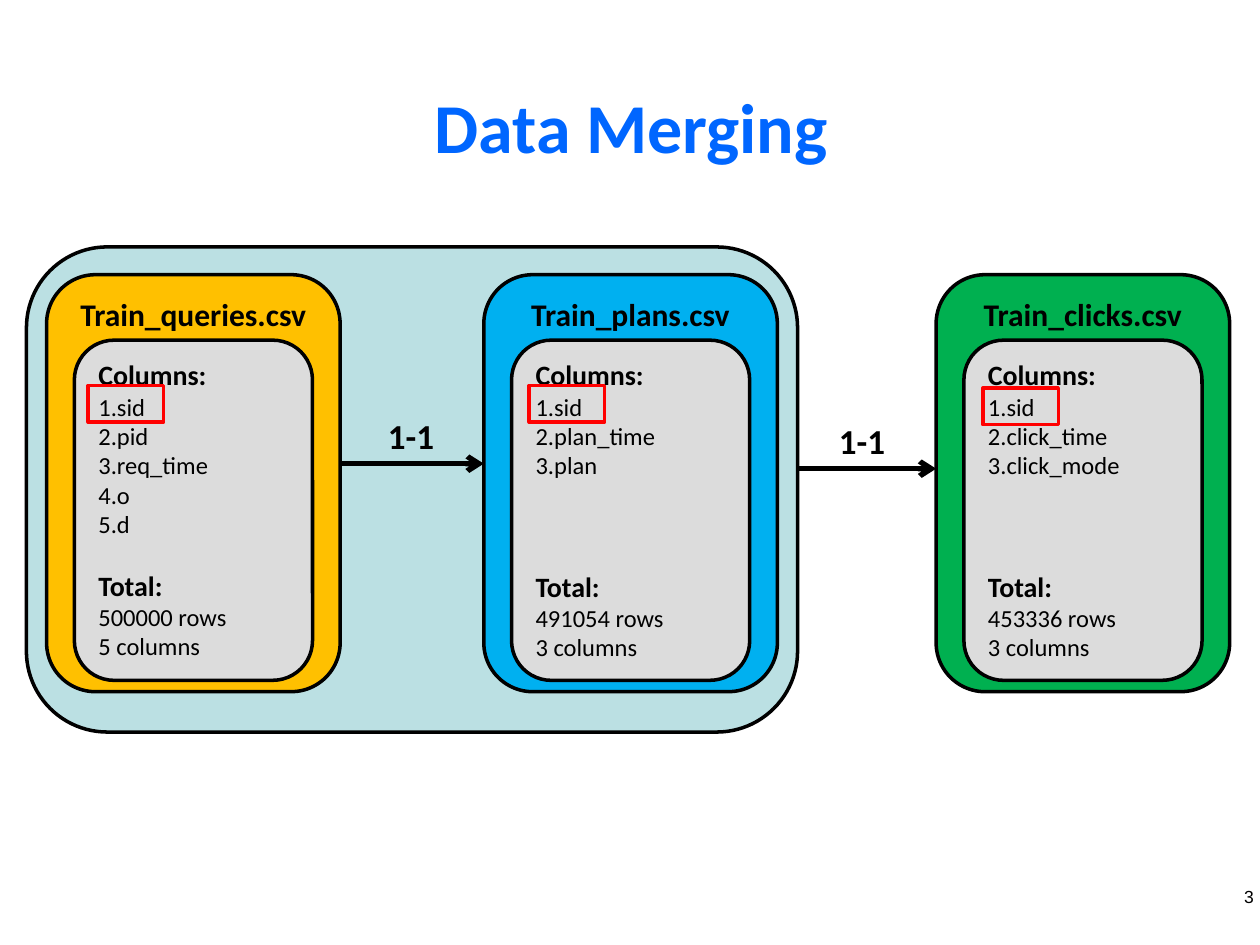
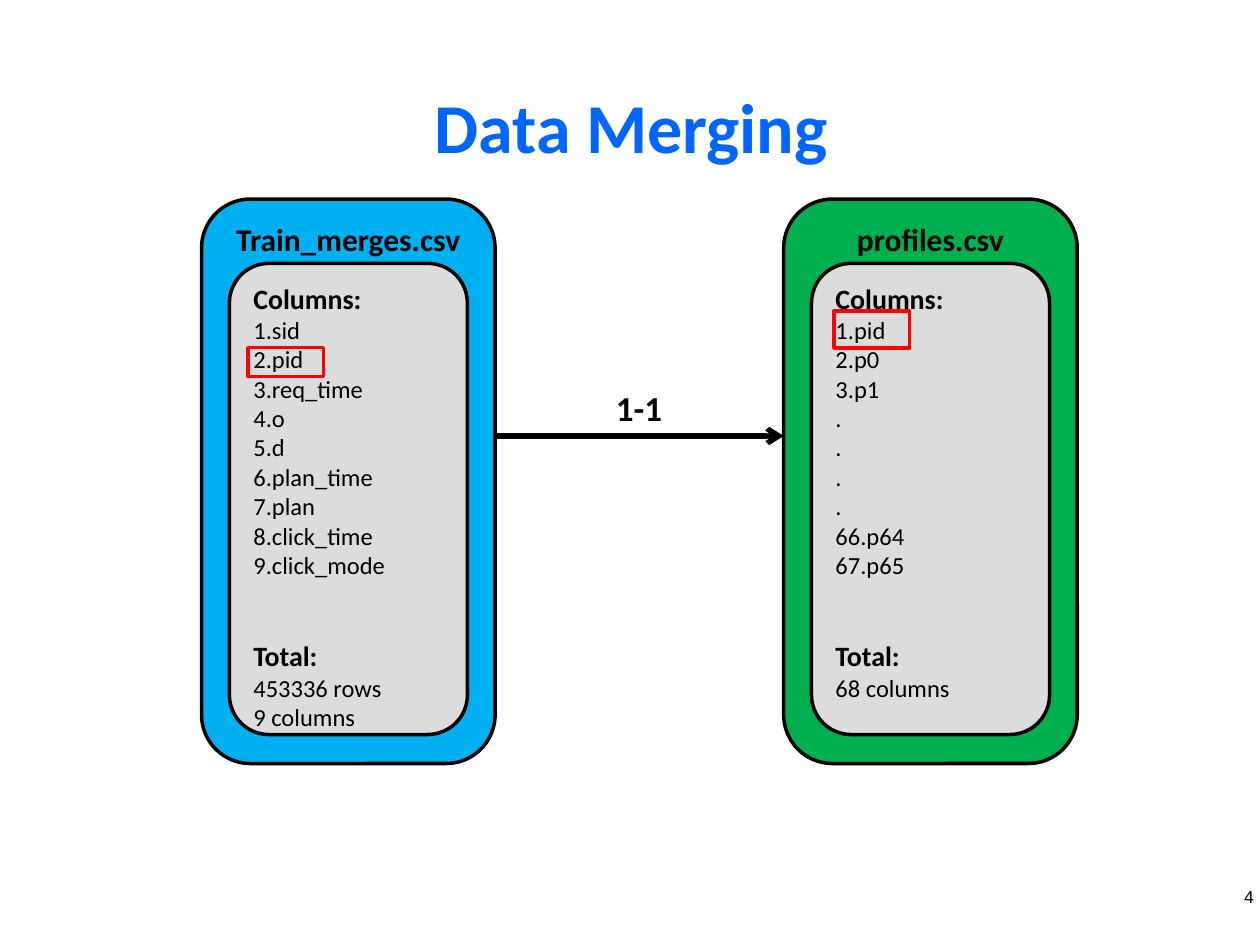
import lxml.etree
import pptx
import pptx.dml.color
import pptx.enum.shapes
import pptx.enum.text
import pptx.oxml.ns
import pptx.util

PX = 9144
BLACK, BLUE, GREEN = "000000", "00B0F0", "00B050"
TITLE_BLUE, AMBER, PANEL, GRAY, RED = "0066FF", "FFC000", "BBE0E3", "DCDCDC", "FF0000"
ROUNDED = pptx.enum.shapes.MSO_SHAPE.ROUNDED_RECTANGLE
RECTANGLE = pptx.enum.shapes.MSO_SHAPE.RECTANGLE
LEFT = pptx.enum.text.PP_ALIGN.LEFT
CENTER = pptx.enum.text.PP_ALIGN.CENTER
RIGHT = pptx.enum.text.PP_ALIGN.RIGHT
CARD_WIDTH, BODY_WIDTH = 233, 189


def add_box(slide, bounds, kind, fill, line):
    box = slide.shapes.add_shape(kind, *[n * PX for n in bounds])
    box.shadow.inherit = False
    if fill:
        box.fill.solid()
        box.fill.fore_color.rgb = pptx.dml.color.RGBColor.from_string(fill)
    else:
        box.fill.background()
    box.line.color.rgb = pptx.dml.color.RGBColor.from_string(line)
    box.line.width = pptx.util.Pt(2)
    box.text_frame.vertical_anchor = pptx.enum.text.MSO_ANCHOR.TOP
    return box


def style(para, text, size, bold=False, align=LEFT, hue=BLACK, face="Calibri"):
    para.text = text
    para.alignment = align
    para.font.name = face
    para.font.size = pptx.util.Pt(size)
    para.font.bold = bold
    para.font.color.rgb = pptx.dml.color.RGBColor.from_string(hue)


pages = [
    {
        "number": "3",
        "panel": (21, 196, 612, 385),
        "card": (218, 331),
        "body": (270, 270),
        "gap_lines": [1, 3, 3],
        "tables": [
            (37, AMBER, "Train_queries.csv",
             ["1.sid", "2.pid", "3.req_time", "4.o", "5.d"],
             ["500000 rows", "5 columns"]),
            (384, BLUE, "Train_plans.csv",
             ["1.sid", "2.plan_time", "3.plan"],
             ["491054 rows", "3 columns"]),
            (743, GREEN, "Train_clicks.csv",
             ["1.sid", "2.click_time", "3.click_mode"],
             ["453336 rows", "3 columns"]),
        ],
        "keys": [(70, 306, 60, 29), (420, 306, 60, 29), (780, 308, 60, 29)],
        "joins": [(270, 384, 368, 298), (633, 743, 372, 656)],
    },
    {
        "number": "4",
        "panel": None,
        "card": (158, 448),
        "body": (209, 374),
        "gap_lines": [2, 2],
        "tables": [
            (160, BLUE, "Train_merges.csv",
             ["1.sid", "2.pid", "3.req_time", "4.o", "5.d", "6.plan_time",
              "7.plan", "8.click_time", "9.click_mode"],
             ["453336 rows", "9 columns"]),
            (622, GREEN, "profiles.csv",
             ["1.pid", "2.p0", "3.p1", ".", ".", ".", ".", "66.p64", "67.p65"],
             ["68 columns"]),
        ],
        "keys": [(197, 276, 60, 23), (662, 247, 60, 29)],
        "joins": [(393, 622, 346, 479)],
    },
]

deck = pptx.Presentation()
deck.slide_width, deck.slide_height = 1000 * PX, 750 * PX

for page in pages:
    slide = deck.slides.add_slide(deck.slide_layouts[5])

    title = slide.shapes.title
    title.left, title.top, title.width, title.height = [n * PX for n in (51, 60, 900, 79)]
    frame = title.text_frame
    frame.margin_left = frame.margin_right = frame.margin_top = frame.margin_bottom = 0
    frame.vertical_anchor = pptx.enum.text.MSO_ANCHOR.MIDDLE
    frame.auto_size = pptx.enum.text.MSO_AUTO_SIZE.NONE
    style(frame.paragraphs[0], "Data Merging", 40, True, CENTER, TITLE_BLUE)

    footer = slide.shapes.add_textbox(*[n * PX for n in (767, 698, 233, 25)])
    frame = footer.text_frame
    frame.word_wrap = True
    frame.margin_left = frame.margin_right = frame.margin_top = frame.margin_bottom = 5 * PX
    style(frame.paragraphs[0], page["number"], 10, align=RIGHT, face="Arial")

    if page["panel"]:
        add_box(slide, page["panel"], ROUNDED, PANEL, BLACK)

    card_top, card_height = page["card"]
    body_top, body_height = page["body"]
    for (left, fill, name, columns, totals), gap in zip(page["tables"], page["gap_lines"]):
        card = add_box(slide, (left, card_top, CARD_WIDTH, card_height), ROUNDED, fill, BLACK)
        style(card.text_frame.paragraphs[0], name, 18, True, CENTER)

        body_left = left + (CARD_WIDTH - BODY_WIDTH) // 2
        body = add_box(slide, (body_left, body_top, BODY_WIDTH, body_height), ROUNDED, GRAY, BLACK)
        frame = body.text_frame
        style(frame.paragraphs[0], "Columns:", 16, True)
        for column in columns:
            style(frame.add_paragraph(), column, 14)
        heading = frame.add_paragraph()
        style(heading, "Total:", 16, True)
        heading.space_before = pptx.util.Pt(17 * gap)
        for total in totals:
            style(frame.add_paragraph(), total, 14)

    for bounds in page["keys"]:
        add_box(slide, bounds, RECTANGLE, None, RED)

    for start, end, middle, label_left in page["joins"]:
        arrow = slide.shapes.add_connector(
            pptx.enum.shapes.MSO_CONNECTOR.STRAIGHT,
            start * PX, middle * PX, end * PX, middle * PX)
        arrow.line.color.rgb = pptx.dml.color.RGBColor.from_string(BLACK)
        arrow.line.width = pptx.util.Pt(3)
        outline = arrow.line._get_or_add_ln()
        lxml.etree.SubElement(outline, pptx.oxml.ns.qn("a:tailEnd"), type="arrow")
        lxml.etree.SubElement(outline.getparent(), pptx.oxml.ns.qn("a:effectLst"))

        label = slide.shapes.add_textbox(label_left * PX, (middle - 44) * PX, 57 * PX, 44 * PX)
        label.text_frame.word_wrap = False
        style(label.text_frame.paragraphs[0], "1-1", 20, True)

deck.save("out.pptx")
